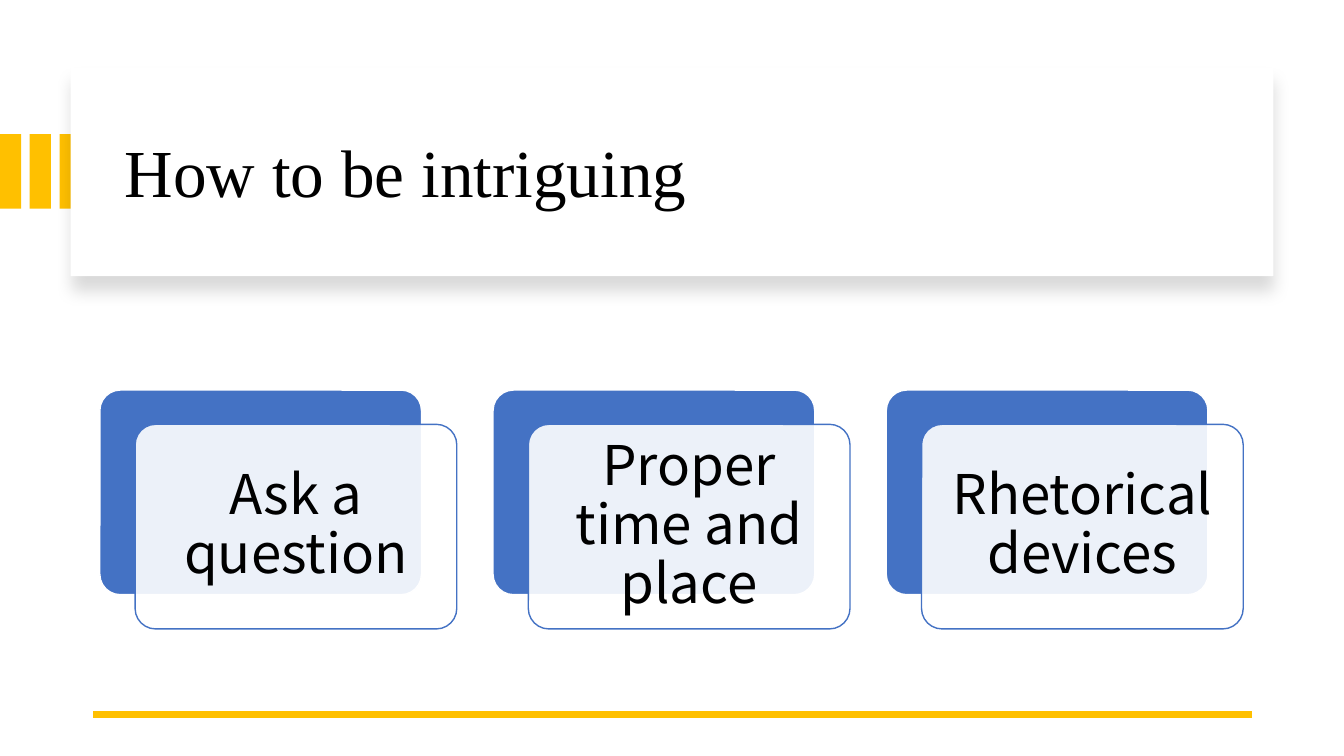
from pptx import Presentation
from pptx.dml.color import RGBColor
from pptx.enum.shapes import MSO_CONNECTOR, MSO_SHAPE
from pptx.enum.text import MSO_ANCHOR, PP_ALIGN
from pptx.oxml import parse_xml
from pptx.oxml.ns import nsdecls, qn
from pptx.util import Inches, Pt

COLORS = {"gold": "FFC000", "blue": "4472C4", "white": "FFFFFF", "black": "000000"}


def rgb(name):
    return RGBColor.from_string(COLORS[name])


class Deck:
    title_font = "Times New Roman"
    card_font = "Noto Sans CJK SC"

    def __init__(self, prs):
        self.s = prs.slides.add_slide(prs.slide_layouts[6])

    def box(self, x, y, w, h, fill, line=None, radius=None, alpha=None):
        kind = MSO_SHAPE.RECTANGLE if radius is None else MSO_SHAPE.ROUNDED_RECTANGLE
        sp = self.s.shapes.add_shape(kind, Inches(x), Inches(y), Inches(w), Inches(h))
        sp.shadow.inherit = False
        sp.fill.solid()
        sp.fill.fore_color.rgb = rgb(fill)
        if radius is not None:
            sp.adjustments[0] = radius
        if line:
            sp.line.color.rgb = rgb(line)
            sp.line.width = Pt(1)
        else:
            sp.line.fill.background()
        if alpha is not None:
            color = sp._element.spPr.find(qn("a:solidFill"))[0]
            color.append(parse_xml(f'<a:alpha {nsdecls("a")} val="{alpha * 1000}"/>'))
        return sp

    def drop_shadow(self, sp, blur, dist, alpha):
        effects = sp._element.spPr.find(qn("a:effectLst"))
        effects.append(parse_xml(
            f'<a:outerShdw {nsdecls("a")} blurRad="{Pt(blur)}" dist="{Pt(dist)}" '
            f'dir="5400000" algn="t" rotWithShape="0"><a:srgbClr val="{COLORS["black"]}">'
            f'<a:alpha val="{alpha * 1000}"/></a:srgbClr></a:outerShdw>'))

    def rule(self, x1, x2, y, color, width):
        line = self.s.shapes.add_connector(
            MSO_CONNECTOR.STRAIGHT, Inches(x1), Inches(y), Inches(x2), Inches(y))
        line.line.color.rgb = rgb(color)
        line.line.width = Pt(width)
        line._element.spPr.append(parse_xml(f'<a:effectLst {nsdecls("a")}/>'))

    def text(self, text, x, y, w, h, font, size, align=PP_ALIGN.LEFT, inset=None,
             spacing=0.9):
        tf = self.s.shapes.add_textbox(
            Inches(x), Inches(y), Inches(w), Inches(h)).text_frame
        tf.word_wrap = True
        tf.vertical_anchor = MSO_ANCHOR.MIDDLE
        if inset is not None:
            tf.margin_left = tf.margin_right = Inches(inset)
            tf.margin_top = tf.margin_bottom = Inches(inset)
        p = tf.paragraphs[0]
        p.alignment = align
        p.line_spacing = spacing
        r = p.add_run()
        r.text = text
        r.font.name = font
        r.font.size = Pt(size)
        r.font.color.rgb = rgb("black")

    def card(self, text, x, y):
        w, h, shift, pad = 3.19, 2.03, 0.35, 0.06
        self.box(x, y, w, h, "blue", line="white", radius=0.1)
        x, y = x + shift, y + 0.34
        self.box(x, y, w, h, "white", line="blue", radius=0.1, alpha=90)
        self.text(text, x + pad, y + pad, w - 2 * pad, h - 2 * pad,
                  self.card_font, 39, align=PP_ALIGN.CENTER, inset=0.16)


prs = Presentation()
prs.slide_width, prs.slide_height = Inches(13.33), Inches(7.5)
deck = Deck(prs)

# Gold bars at the left edge
for i in range(3):
    deck.box(i * 0.295, 1.33, 0.21, 0.74, "gold")

# Title panel
panel = deck.box(0.7, 0.67, 11.93, 2.07, "white")
deck.drop_shadow(panel, blur=11, dist=10, alpha=15)
deck.text("How to be intriguing", 1.14, 0.89, 11.13, 1.7, deck.title_font, 48)

# Bottom rule
deck.rule(12.42, 0.92, 7.09, "gold", 4.5)

# Row of cards
for i, label in enumerate(["Ask a question", "Proper time and place", "Rhetorical devices"]):
    deck.card(label, 0.99 + i * 3.9, 3.87)

prs.save("out.pptx")
